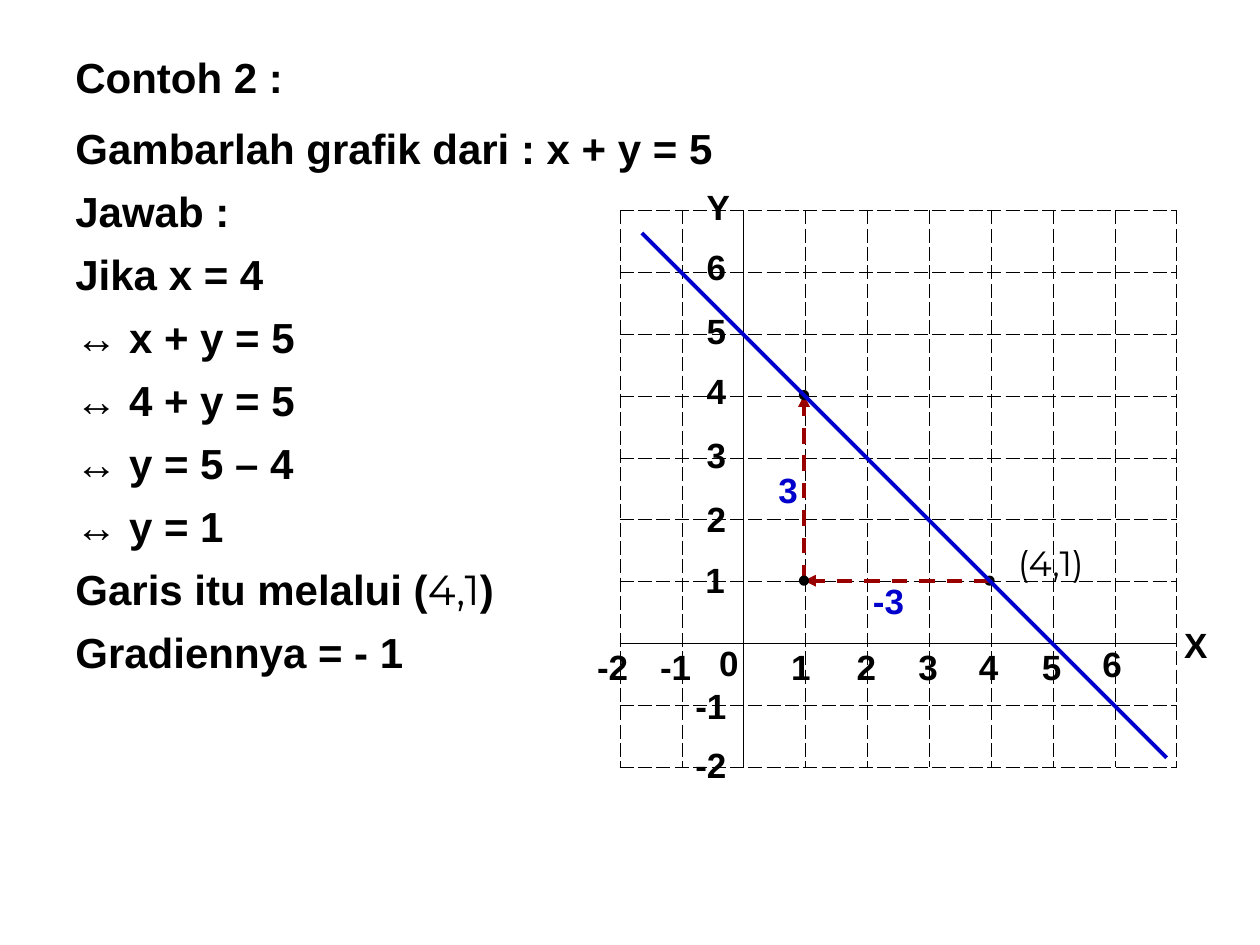
from lxml.etree import SubElement
from pptx import Presentation
from pptx.dml.color import RGBColor
from pptx.enum.dml import MSO_LINE
from pptx.enum.shapes import MSO_CONNECTOR, MSO_SHAPE
from pptx.enum.text import MSO_ANCHOR
from pptx.oxml.ns import qn
from pptx.util import Inches, Pt

BLACK, BLUE, RED = "000000", "0000CC", "990000"
TITLE = "Contoh 2 :"
# Each paragraph is a list of (text, font, bold) runs.
SOLUTION = [[(line, "Arial", True)] for line in (
    "Gambarlah grafik dari : x + y = 5",
    "Jawab :",
    "Jika x = 4",
    "↔ x + y = 5",
    "↔ 4 + y = 5",
    "↔ y = 5 – 4",
    "↔ y = 1",
)] + [
    [("Garis itu melalui (", "Arial", True), ("4,1", "Montserrat", False), (")", "Arial", True)],
    [("Gradiennya = - 1", "Arial", True)],
]

# Label, left, top, width
X_LABELS = [("-2", 4.64, 5.07, 0.45), ("-1", 5.14, 5.07, 0.45), ("0", 5.61, 5.04, 0.35),
            ("1", 6.18, 5.07, 0.35), ("2", 6.7, 5.07, 0.35), ("3", 7.19, 5.07, 0.35),
            ("4", 7.67, 5.07, 0.35), ("5", 8.17, 5.07, 0.35), ("6", 8.65, 5.05, 0.35),
            ("X", 9.3, 4.9, 0.38)]
Y_LABELS = [("Y", 5.51, 1.42, 0.38), ("6", 5.51, 1.9, 0.35), ("5", 5.51, 2.41, 0.35),
            ("4", 5.51, 2.88, 0.35), ("3", 5.51, 3.39, 0.35), ("2", 5.51, 3.9, 0.35),
            ("1", 5.5, 4.38, 0.35), ("-1", 5.42, 5.38, 0.45), ("-2", 5.42, 5.85, 0.45)]
STEP_LABELS = [("-3", 6.83, 4.55, 0.45), ("3", 6.08, 3.67, 0.35)]

GRID_LEFT, GRID_TOP, GRID_SIZE, CELLS = 4.92, 1.67, 4.42, 9
CELL = GRID_SIZE / CELLS
COLUMNS_LEFT_OF_AXIS, ROWS_ABOVE_AXIS = 2, 7
ORIGIN_X, ORIGIN_Y = 5.89, 5.1
START, CORNER, END = (4, 1), (1, 1), (1, 4)
LINE_X_RANGE = (6.86, -1.62)


def color(value):
    return RGBColor.from_string(value)


def position(point):
    """Slide position in inches of a point on the graph."""
    x, y = point
    return ORIGIN_X + x * CELL, ORIGIN_Y - y * CELL


def add_text(slide, paragraphs, left, top, width, height=0.44, *, size=20, ink=BLACK,
             wrap=False, anchor=MSO_ANCHOR.TOP, space_before=0, hanging=0):
    box = slide.shapes.add_textbox(Inches(left), Inches(top), Inches(width), Inches(height))
    frame = box.text_frame
    frame.word_wrap = wrap
    frame.vertical_anchor = anchor
    for index, runs in enumerate(paragraphs):
        paragraph = frame.paragraphs[0] if index == 0 else frame.add_paragraph()
        if index:
            paragraph.space_before = Pt(space_before)
        if hanging:
            properties = paragraph._p.get_or_add_pPr()
            properties.set("marL", str(Inches(hanging)))
            properties.set("indent", str(Inches(-hanging)))
        for text, font, bold in runs:
            run = paragraph.add_run()
            run.text = text
            run.font.name, run.font.size, run.font.bold = font, Pt(size), bold
            run.font.color.rgb = color(ink)


def add_labels(slide, labels, ink=BLACK):
    for text, left, top, width in labels:
        add_text(slide, [[(text, "Arial", True)]], left, top, width, ink=ink)


def set_border(cell, side, is_axis):
    line = SubElement(cell._tc.get_or_add_tcPr(), qn(f"a:ln{side}"),
                      w=str(Pt(1.08 if is_axis else 0.34)))
    fill = SubElement(line, qn("a:solidFill"))
    SubElement(fill, qn("a:srgbClr"), val=BLACK)
    SubElement(line, qn("a:prstDash"), val="solid" if is_axis else "dash")


def add_grid(slide):
    table = slide.shapes.add_table(CELLS, CELLS, Inches(GRID_LEFT), Inches(GRID_TOP),
                                   Inches(GRID_SIZE), Inches(GRID_SIZE)).table
    table.first_row = table.horz_banding = False
    for row in range(CELLS):
        for column in range(CELLS):
            cell = table.cell(row, column)
            set_border(cell, "L", column == COLUMNS_LEFT_OF_AXIS)
            set_border(cell, "R", column + 1 == COLUMNS_LEFT_OF_AXIS)
            set_border(cell, "T", row == ROWS_ABOVE_AXIS)
            set_border(cell, "B", row + 1 == ROWS_ABOVE_AXIS)
            cell.fill.background()


def add_line(slide, start, end, ink, arrow=False):
    ends = [Inches(value) for value in position(start) + position(end)]
    connector = slide.shapes.add_connector(MSO_CONNECTOR.STRAIGHT, *ends)
    connector.line.color.rgb = color(ink)
    connector.line.width = Pt(2.25)
    if arrow:
        connector.line.dash_style = MSO_LINE.DASH
        SubElement(connector.line._get_or_add_ln(), qn("a:tailEnd"), type="triangle")
    SubElement(connector._element.spPr, qn("a:effectLst"))


def add_point(slide, point, diameter=0.06):
    x, y = position(point)
    dot = slide.shapes.add_shape(MSO_SHAPE.OVAL, Inches(x - diameter / 2),
                                 Inches(y - diameter / 2), Inches(diameter), Inches(diameter))
    dot.shadow.inherit = False
    dot.fill.solid()
    dot.fill.fore_color.rgb = dot.line.color.rgb = color(BLACK)
    dot.line.width = Pt(1.5)


def main():
    presentation = Presentation()
    presentation.slide_width, presentation.slide_height = Inches(10), Inches(7.5)
    slide = presentation.slides.add_slide(presentation.slide_layouts[6])
    add_text(slide, [[(TITLE, "Arial", True)]], 0.5, 0.3, 9, 0.62, size=24, wrap=True,
             anchor=MSO_ANCHOR.MIDDLE)
    add_text(slide, SOLUTION, 0.5, 0.92, 5.75, 5.28, size=24, wrap=True,
             space_before=7.25, hanging=0.38)
    add_grid(slide)
    add_labels(slide, X_LABELS + Y_LABELS)
    add_point(slide, START)
    add_labels(slide, STEP_LABELS, ink=BLUE)
    add_text(slide, [[("(4,1)", "Montserrat", False)]], 7.98, 4.25, 0.76)
    add_line(slide, START, CORNER, RED, arrow=True)
    add_line(slide, CORNER, END, RED, arrow=True)
    add_point(slide, END)
    add_line(slide, *[(x, 5 - x) for x in LINE_X_RANGE], BLUE)
    add_point(slide, CORNER)
    presentation.save("out.pptx")


if __name__ == "__main__":
    main()
